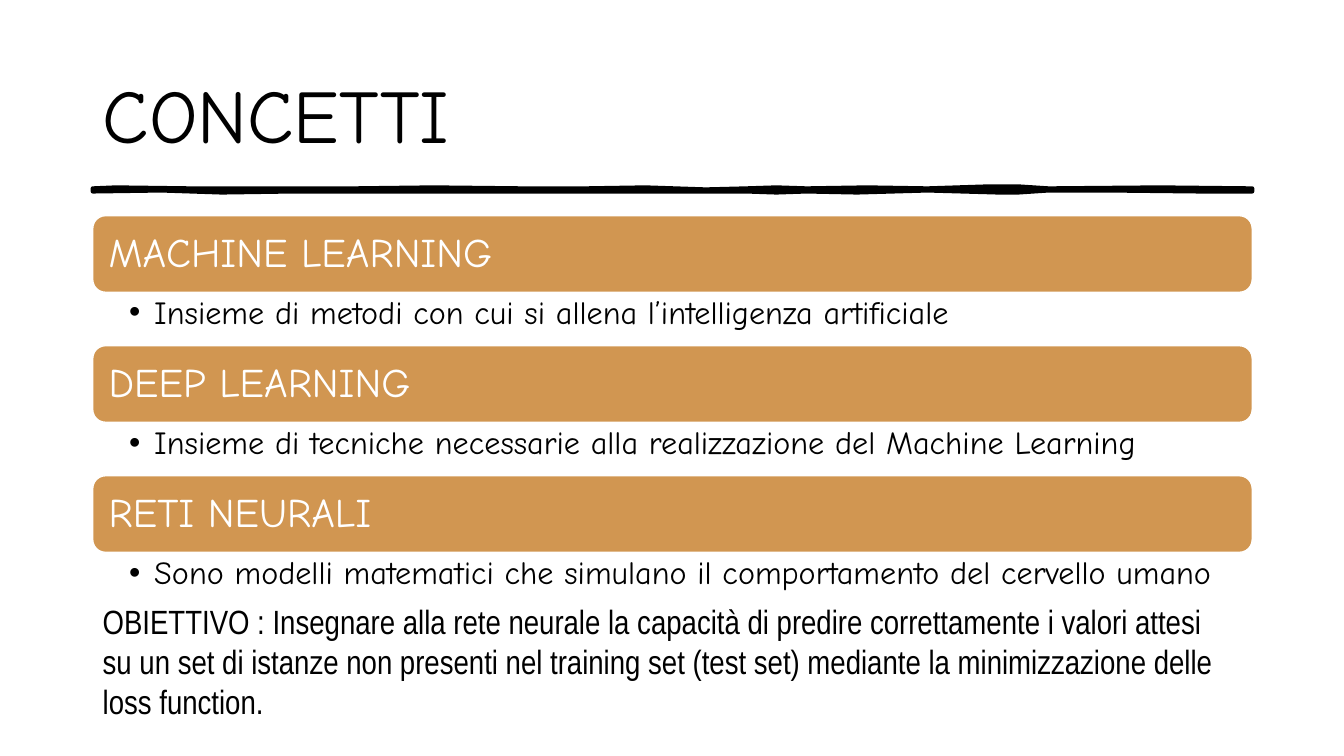
from pptx import Presentation
from pptx import util as u
from pptx.dml.color import RGBColor
from pptx.enum import shapes, text
from pptx.oxml.ns import qn
from lxml import etree

COLORS = {"ink": "000000", "bar": "D19651", "paper": "FFFFFF"}
HAND, NARROW = "Comic Neue", "Arial Narrow"
LEFT, WIDTH = 0.92, 11.5


def rgb(name):
    return RGBColor.from_string(COLORS[name])


def write(frame, words, size, font=HAND, color="ink", anchor="TOP",
          insets=(0.1, 0.05, 0.1, 0.05), spacing=None, bullet=False):
    frame.word_wrap = True
    frame.vertical_anchor = text.MSO_ANCHOR[anchor]
    (frame.margin_left, frame.margin_top,
     frame.margin_right, frame.margin_bottom) = map(u.Inches, insets)
    paragraph = frame.paragraphs[0]
    paragraph.alignment = text.PP_ALIGN.LEFT
    if spacing:
        paragraph.line_spacing = spacing
    run = paragraph.add_run()
    run.text = words
    run.font.size = u.Pt(size)
    run.font.name = font
    run.font.color.rgb = rgb(color)
    if bullet:
        props = paragraph._p.get_or_add_pPr()
        props.set("marL", str(u.Inches(0.25)))
        props.set("indent", str(u.Inches(-0.25)))
        etree.SubElement(props, qn("a:buFont")).set("typeface", "Arial")
        etree.SubElement(props, qn("a:buChar")).set("char", "•")


class ConceptSlide:
    def __init__(self, deck):
        self.slide = deck.slides.add_slide(deck.slide_layouts[6])
        self.shapes = self.slide.shapes

    def label(self, words, top, height, size, width=WIDTH, **style):
        box = self.shapes.add_textbox(*map(u.Inches, (LEFT, top, width, height)))
        write(box.text_frame, words, size, **style)

    def bar(self, words, top, height):
        bar = self.shapes.add_shape(
            shapes.MSO_SHAPE.ROUNDED_RECTANGLE,
            *map(u.Inches, (LEFT, top, WIDTH, height)))
        bar.shadow.inherit = False
        bar.fill.solid()
        bar.fill.fore_color.rgb = rgb("bar")
        bar.line.color.rgb = rgb("paper")
        bar.line.width = u.Pt(1)
        write(bar.text_frame, words, 29, color="paper", anchor="MIDDLE",
              insets=(0.12, 0.12, 0.12, 0.12), spacing=0.9)

    def brush(self, upper, lower):
        outline = [(u.Inches(x), u.Inches(y)) for x, y in upper + lower[::-1]]
        builder = self.shapes.build_freeform(*outline[0])
        builder.add_line_segments(outline[1:], close=True)
        stroke = builder.convert_to_shape()
        stroke.shadow.inherit = False
        stroke.fill.solid()
        stroke.fill.fore_color.rgb = rgb("ink")
        stroke.line.color.rgb = rgb("ink")
        stroke.line.width = u.Pt(3)


def main():
    deck = Presentation()
    deck.slide_width, deck.slide_height = u.Inches(13.33), u.Inches(7.5)
    page = ConceptSlide(deck)

    # Hand-drawn rule with uneven edges
    right = LEFT + WIDTH
    page.brush(
        [(LEFT, 1.87), (1.15, 1.86), (1.9, 1.87), (2.5, 1.87), (3.5, 1.87),
         (4.3, 1.86), (5.2, 1.87), (5.8, 1.87), (6.4, 1.86), (7.0, 1.88),
         (7.4, 1.87), (7.7, 1.86), (8.0, 1.87), (8.6, 1.86), (9.2, 1.87),
         (9.8, 1.85), (10.1, 1.85), (10.4, 1.87), (11.5, 1.86), (right, 1.87)],
        [(LEFT, 1.9), (1.6, 1.89), (2.2, 1.91), (2.9, 1.9), (4.2, 1.9),
         (4.8, 1.9), (5.9, 1.9), (6.8, 1.9), (7.4, 1.9), (7.7, 1.91),
         (8.0, 1.9), (8.5, 1.91), (9.2, 1.89), (9.9, 1.91), (10.1, 1.91),
         (10.4, 1.89), (11.0, 1.89), (11.9, 1.9), (right, 1.9)])

    # Title
    page.label("CONCETTI", 0.4, 1.45, 54, anchor="MIDDLE")

    # Concepts, each a bar with its definition below
    concepts = [
        ("MACHINE LEARNING",
         "Insieme di metodi con cui si allena l’intelligenza artificiale"),
        ("DEEP LEARNING",
         "Insieme di tecniche necessarie alla realizzazione del Machine Learning"),
        ("RETI NEURALI",
         "Sono modelli matematici che simulano il comportamento del cervello umano"),
    ]
    first_top, bar_height, definition_height = 2.14, 0.76, 0.53
    for index, (concept, definition) in enumerate(concepts):
        top = first_top + index * (bar_height + definition_height)
        page.bar(concept, top, bar_height)
        page.label(definition, top + bar_height, definition_height, 23,
                   insets=(0.36, 0.04, 0.23, 0.04), spacing=0.9, bullet=True)

    # Goal
    page.label(
        "OBIETTIVO : Insegnare alla rete neurale la capacità di predire "
        "correttamente i valori attesi su un set di istanze non presenti nel "
        "training set (test set) mediante la minimizzazione delle loss function.",
        5.91, 0.91, 24, width=11.26, font=NARROW)

    deck.save("out.pptx")


if __name__ == "__main__":
    main()
